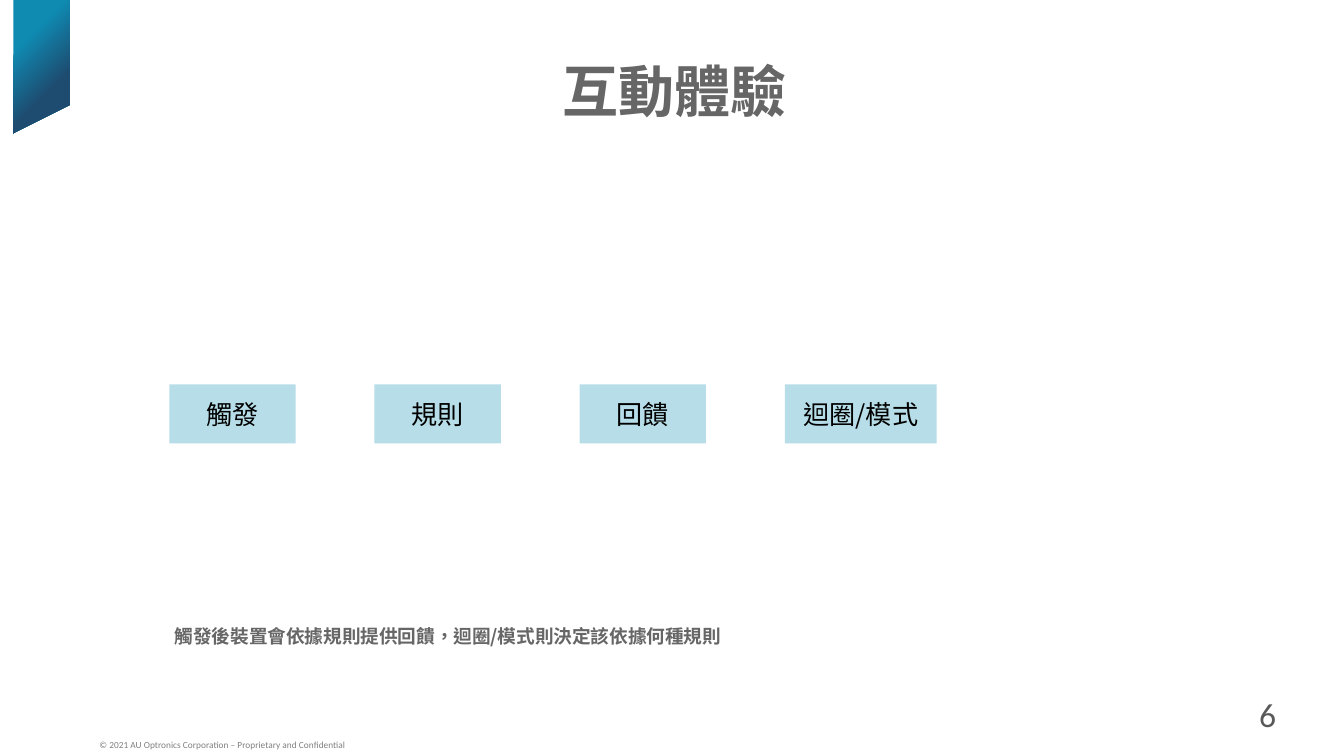
from lxml.etree import SubElement
from pptx import Presentation
from pptx.dml.color import RGBColor
from pptx.enum.lang import MSO_LANGUAGE_ID
from pptx.enum.shapes import MSO_SHAPE
from pptx.enum.text import MSO_ANCHOR, PP_ALIGN
from pptx.oxml.ns import qn
from pptx.util import Inches, Pt

COLORS = {
    "ribbon_light": "0F8AB1",
    "ribbon_dark": "1E4B70",
    "step": "B7DEE8",
    "step_text": "000000",
    "heading": "666666",
    "number": "595959",
    "copyright": "808080",
}
CJK_FONT = "Noto Sans CJK SC"


def color(name):
    """Return the named colour."""
    return RGBColor.from_string(COLORS[name])


def write(shape, text, size, font, tint, bold=False, align=PP_ALIGN.LEFT,
          anchor=MSO_ANCHOR.TOP, insets=(0.1, 0.05)):
    """Put one styled paragraph into a shape."""
    frame = shape.text_frame
    frame.word_wrap = True
    frame.vertical_anchor = anchor
    frame.margin_left = frame.margin_right = Inches(insets[0])
    frame.margin_top = frame.margin_bottom = Inches(insets[1])
    frame.text = text
    para = frame.paragraphs[0]
    para.alignment = align
    span = para.runs[0]
    span.font.name = font
    span.font.size = Pt(size)
    span.font.bold = bold
    span.font.color.rgb = color(tint)
    span.font.language_id = MSO_LANGUAGE_ID.TRADITIONAL_CHINESE
    SubElement(span.font._element, qn("a:ea"), typeface=CJK_FONT)
    return para


def add_text(page, place, text, size, font, tint, **style):
    """Add a text box at left, top, width, height."""
    box = page.shapes.add_textbox(*map(Inches, place))
    return write(box, text, size, font, tint, **style)


def add_ribbon(page):
    """Add the gradient ribbon hanging from the top left corner."""
    corners = [(0.1, 0.99), (0.52, 0.78), (0.52, -0.09), (0.1, -0.09)]
    points = [(Inches(x), Inches(y)) for x, y in corners]
    builder = page.shapes.build_freeform(*points[0])
    builder.add_line_segments(points[1:], close=True)
    ribbon = builder.convert_to_shape()
    ribbon.shadow.inherit = False
    ribbon.line.fill.background()
    ribbon.fill.gradient()
    ribbon.fill.gradient_angle = 315
    stops = [(0.32, "ribbon_light"), (0.7, "ribbon_dark")]
    for stop, (position, tint) in zip(ribbon.fill.gradient_stops, stops):
        stop.position = position
        stop.color.rgb = color(tint)


def add_step(page, left, width, text):
    """Add one step of the interaction as a filled rectangle."""
    step = page.shapes.add_shape(
        MSO_SHAPE.RECTANGLE, Inches(left), Inches(2.86), Inches(width), Inches(0.44))
    step.shadow.inherit = False
    step.fill.solid()
    step.fill.fore_color.rgb = color("step")
    step.line.fill.background()
    write(step, text, 14, CJK_FONT, "step_text",
          align=PP_ALIGN.CENTER, anchor=MSO_ANCHOR.MIDDLE)


def main():
    """Build the slide and save it."""
    deck = Presentation()
    deck.slide_width = Inches(10)
    deck.slide_height = Inches(10 * 9 / 16)
    page = deck.slides.add_slide(deck.slide_layouts[6])

    add_ribbon(page)
    notice = add_text(
        page, (0.66, 5.45, 3.75, 0.18),
        "© 2021 AU Optronics Corporation – Proprietary and Confidential",
        5, "Calibri", "copyright", anchor=MSO_ANCHOR.BOTTOM, insets=(0.08, 0.05))
    notice.line_spacing = 0.8
    add_text(page, (1.57, 0.4, 6.9, 0.54), "互動體驗", 30, "Lato", "heading",
             bold=True, align=PP_ALIGN.CENTER, insets=(0.04, 0.02))
    add_text(page, (9.27, 5.1, 0.6, 0.43), "6", 18, "Calibri", "number",
             anchor=MSO_ANCHOR.MIDDLE, insets=(0.1, 0.1))

    steps = [("觸發", 0.94), ("規則", 0.94), ("回饋", 0.94), ("迴圈/模式", 1.13)]
    first, last = 1.26, 5.84
    pitch = (last - first) / (len(steps) - 1)
    for index, (text, width) in enumerate(steps):
        add_step(page, first + index * pitch, width, text)

    add_text(page, (1.26, 4.63, 5.81, 0.54),
             "觸發後裝置會依據規則提供回饋，迴圈/模式則決定該依據何種規則",
             10, CJK_FONT, "heading", bold=True, insets=(0.04, 0.02))
    deck.save("out.pptx")


if __name__ == "__main__":
    main()
